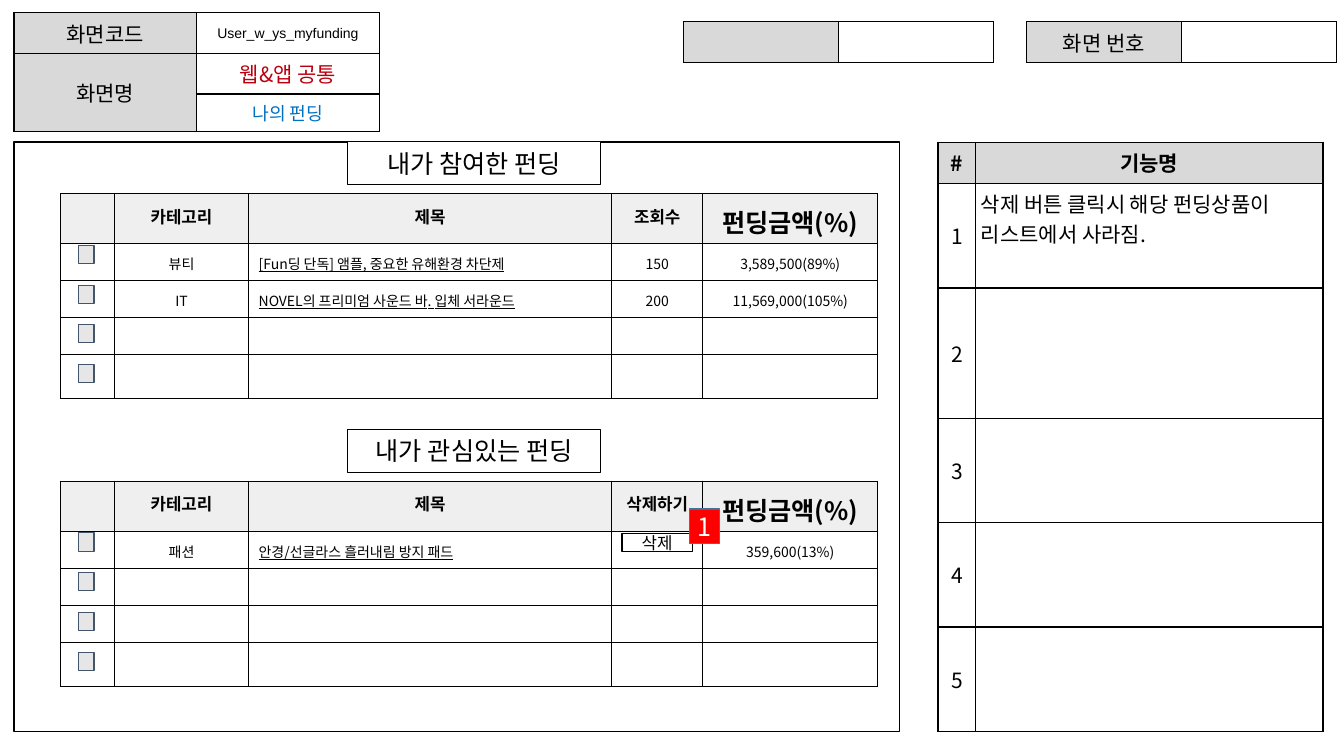
from collections import namedtuple

from lxml.etree import SubElement
from pptx import Presentation
from pptx.dml.color import RGBColor
from pptx.enum.shapes import MSO_SHAPE as Shape
from pptx.enum.text import MSO_ANCHOR as Anchor, PP_ALIGN as Align
from pptx.oxml import parse_xml
from pptx.oxml.ns import nsdecls, qn
from pptx.util import Pt

COLORS = {
    "black": "000000", "white": "FFFFFF", "label": "D9D9D9",
    "header": "EFEFEF", "check": "E7E6E6", "check_line": "44546A",
    "platform": "BA0010", "screen": "0070C0", "badge": "FF0000",
    "badge_line": "42719B",
}
KOREAN = "Noto Sans CJK KR"
LABEL = {"size": 15, "fill": "label"}
FUNDING = {"size": 10, "anchor": Anchor.TOP, "insets": (7.2, 7.2, 7.2, 0)}
HEADER = {**FUNDING, "size": 12, "bold": True, "fill": "header"}
LINKED = {**FUNDING, "align": Align.LEFT, "underline": True}

Box = namedtuple("Box", "left top width height")


def rgb(name):
    return RGBColor.from_string(COLORS[name])


def write_text(frame, text, size=15, color="black", font=KOREAN,
               align=Align.CENTER, **style):
    para = frame.paragraphs[0]
    para.alignment = align
    if not text:
        SubElement(para._p, qn("a:endParaRPr"), sz=str(size * 100))
        return
    span = para.add_run()
    span.text = text
    for name, value in {"size": Pt(size), "name": font, **style}.items():
        setattr(span.font, name, value)
    span.font.color.rgb = rgb(color)
    SubElement(span._r.get_or_add_rPr(), qn("a:ea"), typeface=font)


def set_borders(cell, weight):
    properties = cell._tc.get_or_add_tcPr()
    for index, side in enumerate(("lnL", "lnR", "lnT", "lnB")):
        properties.insert(index, parse_xml(
            f'<a:{side} {nsdecls("a")} w="{Pt(weight)}"><a:solidFill>'
            f'<a:srgbClr val="{COLORS["black"]}"/></a:solidFill></a:{side}>'))


def fill_cell(cell, text="", fill="white", anchor=Anchor.MIDDLE,
              insets=(3.6, 3.6, 3.6, 3.6), weight=1, **style):
    cell.fill.solid()
    cell.fill.fore_color.rgb = rgb(fill)
    cell.vertical_anchor = anchor
    for side, inset in zip(("left", "top", "right", "bottom"), insets):
        setattr(cell, f"margin_{side}", Pt(inset))
    set_borders(cell, weight)
    write_text(cell.text_frame, text, **style)


def add_grid(page, left, top, widths, heights, rows):
    """Add a table whose rows hold (text, format) pairs."""
    table = page.shapes.add_table(
        len(heights), len(widths), Pt(left), Pt(top),
        Pt(sum(widths)), Pt(sum(heights))).table
    for column, width in zip(table.columns, widths):
        column.width = Pt(width)
    for row, height, entries in zip(table.rows, heights, rows):
        row.height = Pt(height)
        for cell, (text, style) in zip(row.cells, entries):
            fill_cell(cell, text, **style)
    return table


def add_rectangle(page, box, fill, line, weight=0.75, text="", **style):
    shape = page.shapes.add_shape(Shape.RECTANGLE, *map(Pt, box))
    shape.shadow.inherit = False
    shape.fill.solid()
    shape.fill.fore_color.rgb = rgb(fill)
    shape.line.color.rgb = rgb(line)
    shape.line.width = Pt(weight)
    if text:
        frame = shape.text_frame
        frame.word_wrap = False
        frame.vertical_anchor = Anchor.MIDDLE
        for side in ("left", "top", "right", "bottom"):
            setattr(frame, f"margin_{side}", 0)
        write_text(frame, text, **style)


def add_screen_info(page, box):
    half = box.width / 2
    code = {"size": 10, "font": "Arial", "insets": (0.7,) * 4}
    table = add_grid(page, box.left, box.top, [half, half], [29, 29, 26.5], [
        [("화면코드", LABEL), ("User_w_ys_myfunding", code)],
        [("화면명", LABEL), ("웹&앱 공통", {"color": "platform"})],
        [("", LABEL), ("나의 펀딩", {"size": 13, "color": "screen"})],
    ])
    table.cell(1, 0).merge(table.cell(2, 0))


def add_number_field(page, box, label):
    half = box.width / 2
    add_grid(page, box.left, box.top, [half, half], [box.height],
             [[(label, LABEL), ("", {})]])


def add_function_list(page, box, notes):
    number_width = 27
    heights = [29.3, 75, 92.9, 74.6, 74.6, 74.6]
    title = {**LABEL, "bold": True}
    note_style = {"anchor": Anchor.TOP, "align": Align.LEFT}
    rows = [[("#", title), ("기능명", title)]]
    for number in range(1, len(heights)):
        rows.append([(str(number), {}), (notes.get(number, ""), note_style)])
    add_grid(page, box.left, box.top,
             [number_width, box.width - number_width], heights, rows)


def add_funding_section(page, box, title, fourth_column, entries):
    """Add a boxed title, a funding table and its checkboxes."""
    add_rectangle(page, Box(box.left + 205, box.top, 181, 31),
                  "white", "black", text=title, size=18)
    table_top = box.top + 37.2
    headings = ["", "카테고리", "제목", fourth_column]
    rows = [[(heading, HEADER) for heading in headings]
            + [("펀딩금액(%)", {**HEADER, "size": 18})]]
    blanks = [("",) * 5] * (4 - len(entries))
    for entry in entries + blanks:
        styles = [FUNDING, FUNDING, LINKED, FUNDING, FUNDING]
        rows.append(list(zip(entry, styles)))
    for row in rows:
        row[:] = [(text, {**style, "weight": 0.75}) for text, style in row]
    add_grid(page, box.left, table_top, [38.6, 95.8, 259.4, 65, 125],
             [35.7, 26.4, 26.4, 26.4, 31.7], rows)
    for index in range(4):
        add_rectangle(page, Box(box.left + 13, table_top + 37 + index * 28.4,
                                11, 13), "check", "check_line")


def add_delete_button(page, box):
    """Add the delete button and its numbered marker."""
    add_rectangle(page, box, "white", "black", 1, "삭제", size=12)
    marker = Box(box.left + 48.3, box.top - 17.3, 21.6, 24.5)
    add_rectangle(page, marker, "badge", "badge_line", 1, "1",
                  size=18, color="white")


def main():
    deck = Presentation()
    deck.slide_width, deck.slide_height = Pt(960), Pt(540)
    page = deck.slides.add_slide(deck.slide_layouts[6])

    add_screen_info(page, Box(10, 9.2, 260.8, 84.5))
    add_number_field(page, Box(733, 15.5, 221.6, 29), "화면 번호")
    add_number_field(page, Box(488, 15.5, 221.6, 29), "")
    add_function_list(page, Box(670, 101.5, 275, 421), {
        1: "삭제 버튼 클릭시 해당 펀딩상품이 리스트에서 사라짐."})

    add_rectangle(page, Box(10, 101.5, 632.5, 421), "white", "black", 1)
    add_funding_section(
        page, Box(43.2, 101, 583.8, 184), "내가 참여한 펀딩", "조회수", [
            ("", "뷰티", "[Fun딩 단독] 앰플, 중요한 유해환경 차단제",
             "150", "3,589,500(89%)"),
            ("", "IT", "NOVEL의 프리미엄 사운드 바. 입체 서라운드",
             "200", "11,569,000(105%)"),
        ])
    add_funding_section(
        page, Box(43.2, 306.5, 583.8, 184), "내가 관심있는 펀딩", "삭제하기", [
            ("", "패션", "안경/선글라스 흘러내림 방지 패드",
             "", "359,600(13%)"),
        ])
    add_delete_button(page, Box(444.2, 381, 50.4, 13))
    deck.save("out.pptx")


if __name__ == "__main__":
    main()
